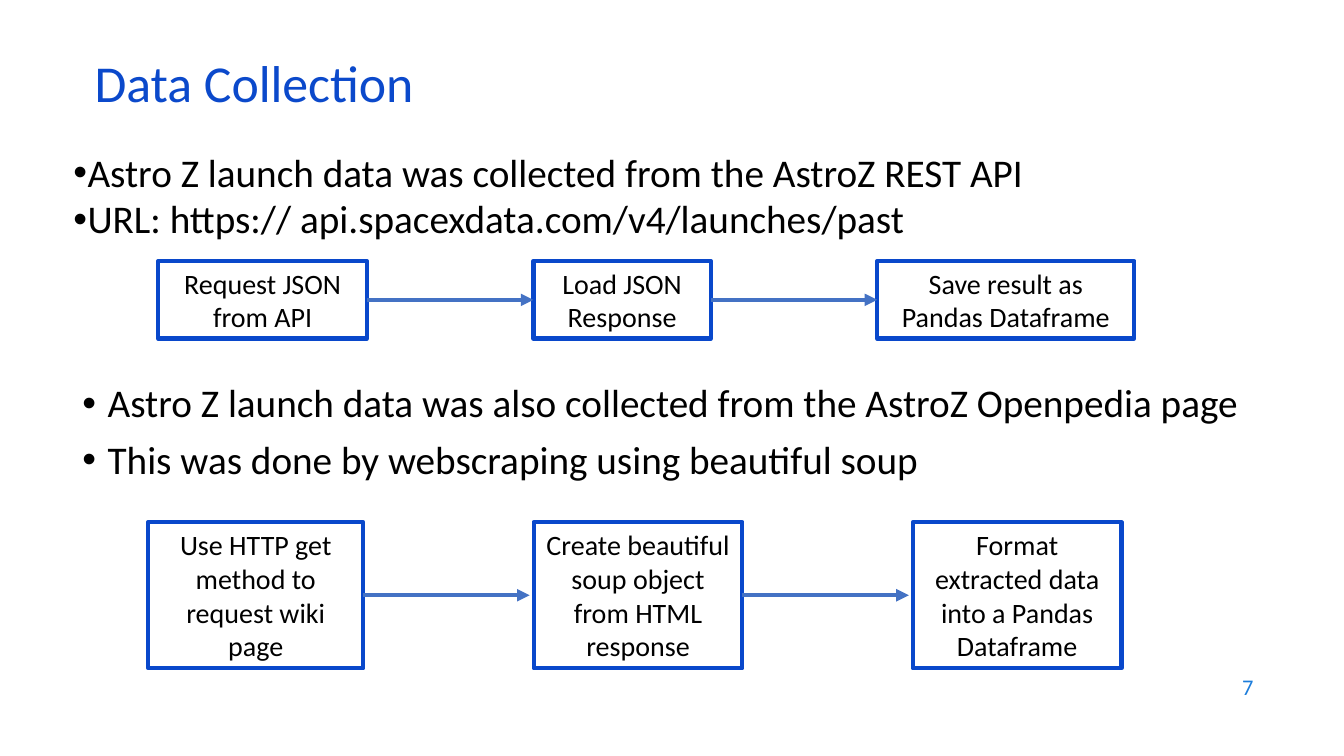
"""Build the Data Collection slide with two process flows."""
import pptx
import pptx.util
import pptx.dml.color
import pptx.enum.shapes
import pptx.enum.text
import pptx.oxml
import pptx.oxml.ns

ALIGN = pptx.enum.text.PP_ALIGN
ANCHOR = pptx.enum.text.MSO_ANCHOR
WIDTH, HEIGHT = pptx.util.Inches(13.33), pptx.util.Inches(7.5)

TEXTS = [
    {"lines": ["7"], "at": (71.5, 87.87, 22.5, 5.87), "size": 16, "color": "1C7DDB",
     "anchor": ANCHOR.MIDDLE, "align": ALIGN.RIGHT},
    {"lines": ["Data Collection"], "at": (6.3, 7.87, 86.25, 8), "size": 37,
     "color": "0B49CB", "anchor": ANCHOR.MIDDLE, "spacing": 0.7},
    {"lines": ["Astro Z launch data was collected from the AstroZ REST API",
               "URL: https:// api.spacexdata.com/v4/launches/past"],
     "at": (4.73, 19.6, 86.25, 13.6), "size": 28, "spacing": 0.9, "before": 3,
     "indent": 0.14},
    {"lines": ["Astro Z launch data was also collected from the AstroZ Openpedia page",
               "This was done by webscraping using beautiful soup"],
     "at": (5.4, 50.13, 89.25, 13.6), "size": 28, "spacing": 0.9, "before": 10,
     "indent": 0.25},
]
FLOWS = [
    {"left": 11.78, "top": 34.53, "height": 10.27, "gap": 12.38, "slack": 0,
     "steps": [("Request JSON from API", 15.53), ("Load JSON Response", 13.2),
               ("Save result as Pandas Dataframe", 19.13)]},
    {"left": 11.03, "top": 69.07, "height": 19.33, "gap": 12.68, "slack": 0.3,
     "steps": [("Use HTTP get method to request wiki page", 16),
               ("Create beautiful soup object from HTML response", 15.53),
               ("Format extracted data into a Pandas Dataframe", 15.53)]},
]


def paint(target, color):
    """Give a font or line a solid colour."""
    target.color.rgb = pptx.dml.color.RGBColor.from_string(color)


def place(left, top, width, height):
    """Turn percentages of the slide into lengths."""
    return [int(share * side / 100) for share, side in
            zip((left, top, width, height), (WIDTH, HEIGHT, WIDTH, HEIGHT))]


def element(tag, **attributes):
    """Make a drawing element."""
    node = pptx.oxml.parse_xml(f"<a:{tag} {pptx.oxml.ns.nsdecls('a')}/>")
    for name, value in attributes.items():
        node.set(name, value)
    return node


def write(box, lines, size, color="000000", anchor=ANCHOR.TOP, align=ALIGN.LEFT,
          spacing=1.0, before=0, indent=0):
    """Fill a shape with formatted paragraphs."""
    frame = box.text_frame
    for name, value in {"word_wrap": True, "vertical_anchor": anchor}.items():
        setattr(frame, name, value)
    for index, line in enumerate(lines):
        para = frame.paragraphs[0] if index == 0 else frame.add_paragraph()
        para.text = line
        style = {"alignment": align, "line_spacing": spacing,
                 "space_before": pptx.util.Pt(before if index else 0)}
        for name, value in style.items():
            setattr(para, name, value)
        if indent:
            margin = pptx.util.Inches(indent)
            properties = para._p.get_or_add_pPr()
            properties.set("marL", str(margin))
            properties.set("indent", str(-margin))
            properties.append(element("buFont", typeface="Arial"))
            properties.append(element("buChar", char="•"))
        font = para.runs[0].font
        for name, value in {"name": "Calibri", "size": pptx.util.Pt(size)}.items():
            setattr(font, name, value)
        paint(font, color)


def add_step(page, text, area):
    """Add one outlined process step."""
    box = page.shapes.add_shape(pptx.enum.shapes.MSO_SHAPE.RECTANGLE, *area)
    box.shadow.inherit = False
    box.fill.background()
    paint(box.line, "0948CB")
    box.line.width = pptx.util.Pt(3)
    write(box, [text], 20, anchor=ANCHOR.MIDDLE, align=ALIGN.CENTER)
    return box


def add_arrow(page, start, end, slack):
    """Point an arrow from one step to the next."""
    middle = start.top + start.height // 2
    arrow = page.shapes.add_connector(
        pptx.enum.shapes.MSO_CONNECTOR.STRAIGHT, start.left + start.width, middle,
        end.left - int(slack * WIDTH / 100), middle)
    arrow.begin_connect(start, 3)
    if not slack:
        arrow.end_connect(end, 1)
    paint(arrow.line, "4472C4")
    arrow.line.width = pptx.util.Pt(3)
    arrow.line._get_or_add_ln().append(element("tailEnd", type="triangle"))
    arrow._element.spPr.append(element("effectLst"))


def add_flow(page, left, top, height, gap, slack, steps):
    """Lay out a row of steps joined by arrows."""
    previous = None
    for text, width in steps:
        box = add_step(page, text, place(left, top, width, height))
        if previous is not None:
            add_arrow(page, previous, box, slack)
        previous = box
        left += width + gap


def main():
    """Build and save the deck."""
    deck = pptx.Presentation()
    deck.slide_width, deck.slide_height = WIDTH, HEIGHT
    page = deck.slides.add_slide(deck.slide_layouts[6])
    for entry in TEXTS:
        style = dict(entry)
        write(page.shapes.add_textbox(*place(*style.pop("at"))), **style)
    for flow in FLOWS:
        add_flow(page, **flow)
    deck.save("out.pptx")


if __name__ == "__main__":
    main()
